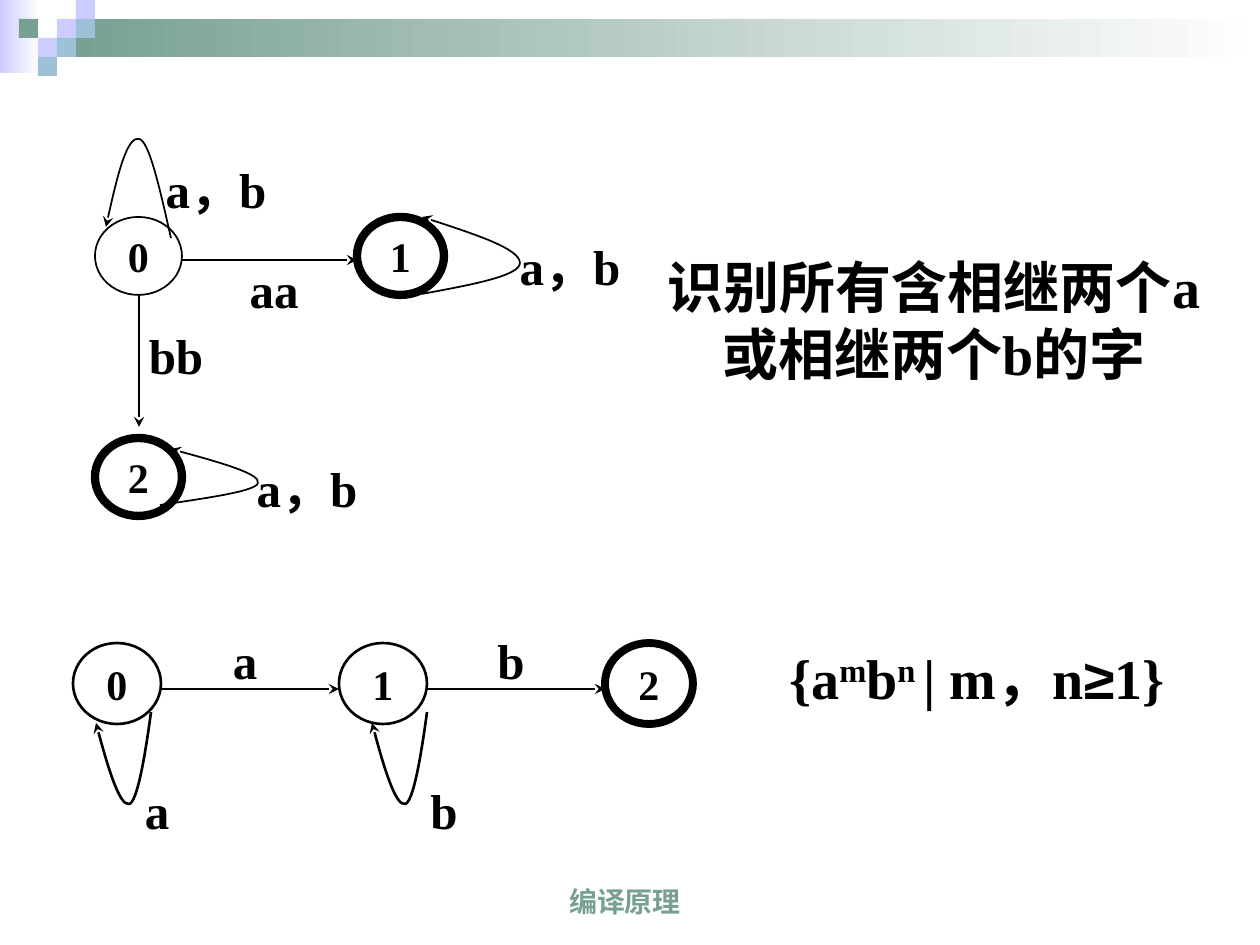
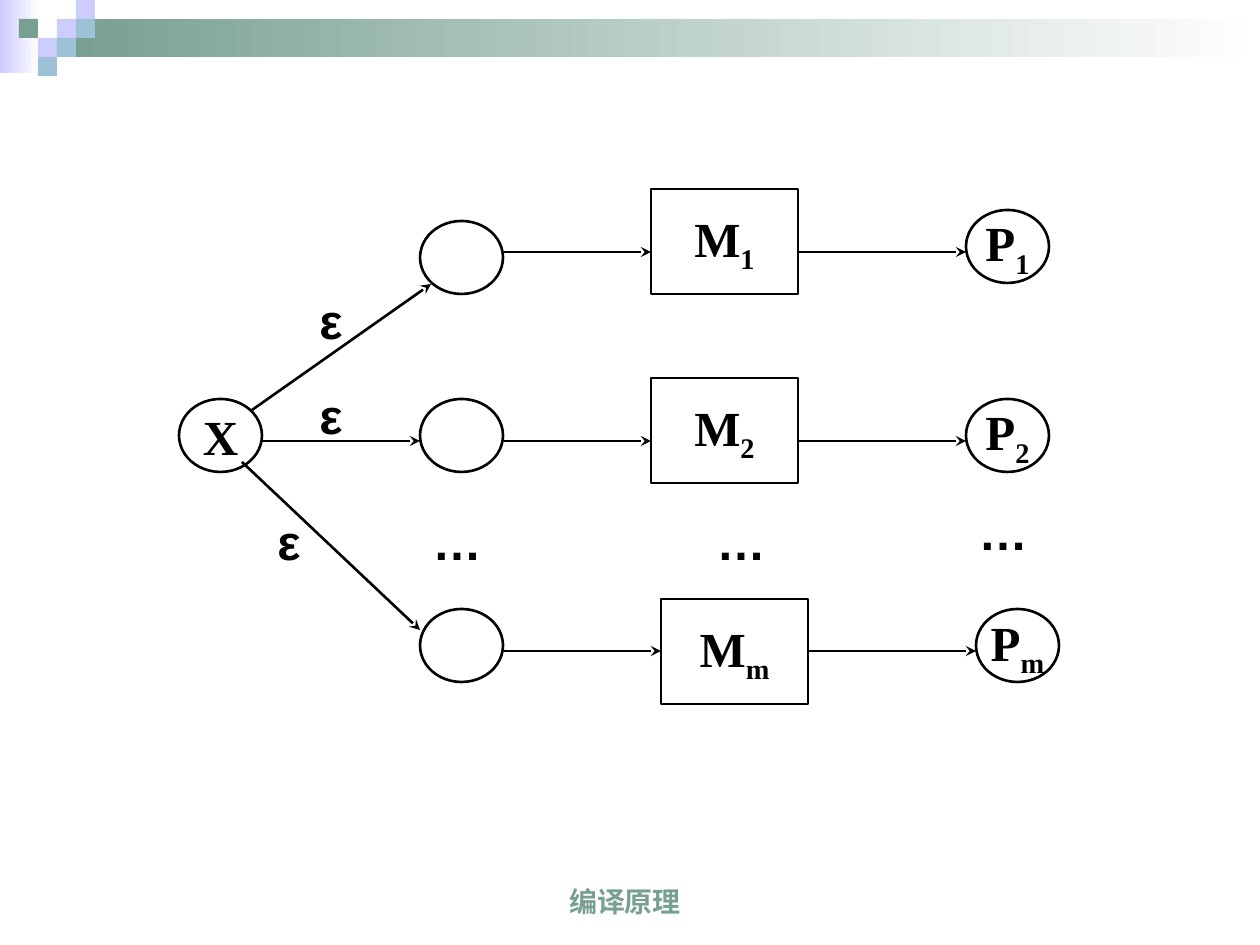
from dataclasses import dataclass

from lxml import etree
from pptx import Presentation
from pptx import util as u
from pptx.dml.color import RGBColor
from pptx.enum import shapes, text
from pptx.oxml import ns

# Shared scale, colours and fonts
EMU_PER_PX = u.Inches(1) / 126
BLACK, WHITE = "000000", "FFFFFF"
GREEN, LILAC, BLUE = "779F92", "CCCCFF", "9DC2D7"
SERIF, SANS, CHINESE = "Times New Roman", "Arial", "Noto Sans CJK SC"
OVAL, RECTANGLE = shapes.MSO_SHAPE.OVAL, shapes.MSO_SHAPE.RECTANGLE
TILE = 19


@dataclass(frozen=True)
class Box:
    left: int
    top: int
    width: int
    height: int


@dataclass(frozen=True)
class Run:
    text: str
    font: str = SERIF
    baseline: int = 0  # percent of the font size


@dataclass(frozen=True)
class Label:
    text: str
    center_x: int
    center_y: int
    font: str = SERIF


@dataclass(frozen=True)
class State:
    name: str
    box: Box
    weight: float


@dataclass(frozen=True)
class Arrow:
    start: tuple[int, int]
    end: tuple[int, int]


@dataclass(frozen=True)
class Branch:
    mark: str
    arrow_y: int
    entry_top: int
    machine_top: int
    result_top: int
    shift: int = 0


Lines = list[list[Run]]
Points = list[tuple[int, int]]


def px(length: int) -> u.Emu:
    return u.Emu(round(length * EMU_PER_PX))


def frame(box: Box) -> tuple:
    return px(box.left), px(box.top), px(box.width), px(box.height)


def color(value: str) -> RGBColor:
    return RGBColor.from_string(value)


# Text
def write(shape, lines: Lines, size: int, ink: str = BLACK, wrap: bool = False,
          anchor=text.MSO_ANCHOR.MIDDLE) -> None:
    text_frame = shape.text_frame
    text_frame.auto_size = text.MSO_AUTO_SIZE.NONE
    text_frame.word_wrap = wrap
    text_frame.vertical_anchor = anchor
    for index, line in enumerate(lines):
        paragraph = text_frame.add_paragraph() if index else text_frame.paragraphs[0]
        paragraph.alignment = text.PP_ALIGN.CENTER
        for part in line:
            run = paragraph.add_run()
            run.text = part.text
            run.font.size = u.Pt(size)
            run.font.bold = True
            run.font.color.rgb = color(ink)
            run.font.name = part.font
            properties = run._r.get_or_add_rPr()
            etree.SubElement(properties, ns.qn("a:ea"), typeface=CHINESE)
            if part.baseline:
                properties.set("baseline", str(part.baseline * 1000))


def add_text(slide, box: Box, lines: Lines, size: int, **style) -> None:
    write(slide.shapes.add_textbox(*frame(box)), lines, size, **style)


def add_label(slide, label: Label) -> None:
    box = Box(label.center_x - 60, label.center_y - 39, 120, 78)
    add_text(slide, box, [[Run(label.text, label.font)]], 28)


# Shapes, arrows and loops
def add_block(slide, box: Box, start: str, end: str | None = None) -> None:
    shape = slide.shapes.add_shape(RECTANGLE, *frame(box))
    shape.shadow.inherit = False
    shape.line.fill.background()
    if end is None:
        shape.fill.solid()
        shape.fill.fore_color.rgb = color(start)
        return
    shape.fill.gradient()
    shape.fill.gradient_angle = 0
    for stop, value, position in zip(shape.fill.gradient_stops, (start, end), (0, 1)):
        stop.color.rgb = color(value)
        stop.position = position


def add_node(slide, kind, box: Box, runs: list[Run], size: int = 28,
             weight: float = 1.5) -> None:
    shape = slide.shapes.add_shape(kind, *frame(box))
    shape.shadow.inherit = False
    shape.fill.background()
    shape.line.color.rgb = color(BLACK)
    shape.line.width = u.Pt(weight)
    if runs:
        write(shape, [runs], size)


def point_line(shape, weight: float) -> None:
    shape.line.color.rgb = color(BLACK)
    shape.line.width = u.Pt(weight)
    etree.SubElement(shape.line._get_or_add_ln(), ns.qn("a:tailEnd"), type="stealth")


def add_arrow(slide, arrow: Arrow, weight: float = 1.5) -> None:
    ends = [px(value) for value in (*arrow.start, *arrow.end)]
    connector = slide.shapes.add_connector(shapes.MSO_CONNECTOR.STRAIGHT, *ends)
    point_line(connector, weight)
    etree.SubElement(connector._element.spPr, ns.qn("a:effectLst"))


def add_loop(slide, points: Points, weight: float) -> None:
    """Draw cubic curves through a start point and triples of control points."""
    builder = slide.shapes.build_freeform(*points[0], scale=EMU_PER_PX)
    builder.add_line_segments(points[1:], close=False)
    shape = builder.convert_to_shape()
    shape.shadow.inherit = False
    shape.fill.background()
    point_line(shape, weight)
    outline = next(shape._element.iter(ns.qn("a:path")))
    segments = outline.findall(ns.qn("a:lnTo"))
    for first in range(0, len(segments), 3):
        curve = etree.SubElement(outline, ns.qn("a:cubicBezTo"))
        for segment in segments[first:first + 3]:
            curve.append(segment[0])
            outline.remove(segment)


# Header and footer of every slide
TILES = [(3, 1, LILAC), (4, 0, LILAC), (4, 1, BLUE), (2, 2, LILAC),
         (1, 1, GREEN), (3, 2, BLUE), (2, 3, BLUE)]


def add_base_slide(presentation):
    slide = presentation.slides.add_slide(presentation.slide_layouts[6])
    add_block(slide, Box(0, 0, 39, 73), LILAC, WHITE)
    add_block(slide, Box(3 * TILE, TILE, 1203, 2 * TILE), GREEN, WHITE)
    for column, row, fill in TILES:
        add_block(slide, Box(column * TILE, row * TILE, TILE, TILE), fill)
    add_text(slide, Box(402, 861, 446, 63), [[Run("编译原理", SANS)]], 16,
             ink=GREEN, wrap=True, anchor=text.MSO_ANCHOR.BOTTOM)
    return slide


def add_automaton(slide, states: list[State], arrows: list[Arrow],
                  loops: list[Points], labels: list[Label], weight: float) -> None:
    for state in states:
        add_node(slide, OVAL, state.box, [Run(state.name)], 24, state.weight)
    for label in labels:
        add_label(slide, label)
    for arrow in arrows:
        add_arrow(slide, arrow, weight)
    for loop in loops:
        add_loop(slide, loop, weight)


# Slide 1: two automata and the languages they accept
def build_automata(presentation) -> None:
    slide = add_base_slide(presentation)
    add_automaton(
        slide,
        states=[State("0", Box(95, 217, 87, 78), 1),
                State("2", Box(95, 438, 87, 78), 4.75),
                State("1", Box(357, 217, 87, 78), 4.75)],
        arrows=[Arrow((182, 260), (357, 260)), Arrow((139, 294), (139, 427))],
        loops=[[(171, 238), (160, 189), (149, 140), (139, 139),
                (127, 136), (116, 181), (106, 227)],
               [(160, 505), (208, 498), (257, 491), (258, 483),
                (261, 474), (215, 461), (171, 449)],
               [(422, 294), (471, 285), (520, 276), (520, 263),
                (520, 249), (471, 233), (422, 217)]],
        labels=[Label("a，b", 216, 189), Label("aa", 274, 289),
                Label("a，b", 570, 266), Label("bb", 176, 355),
                Label("a，b", 307, 488)],
        weight=1)

    step, loop_step = 266, 276
    loop = [(151, 712), (145, 757), (137, 803), (129, 804),
            (120, 806), (107, 765), (96, 723)]
    add_automaton(
        slide,
        states=[State(str(i), Box(73 + step * i, 643, 88, 81), weight)
                for i, weight in enumerate((1.5, 1.5, 4.5))],
        arrows=[Arrow((161 + step * i, 689), (339 + step * i, 689)) for i in range(2)],
        loops=[[(x + loop_step * i, y) for x, y in loop] for i in range(2)],
        labels=[Label("a", 245, 660), Label("b", 511, 660),
                Label("a", 157, 810), Label("b", 444, 810)],
        weight=1.5)

    add_text(slide, Box(703, 252, 462, 136), [
        [Run("识别所有含相继两个", CHINESE), Run("a")],
        [Run("或相继两个", CHINESE), Run("b"), Run("的字", CHINESE)]], 32)
    add_text(slide, Box(746, 609, 462, 136), [
        [Run("{a"), Run("m", baseline=30), Run("b"), Run("n ", baseline=30),
         Run("| m，n"), Run("≥", SANS), Run("1}")]], 32)


# Slide 2: one start state that branches into m machines
def build_branches(presentation) -> None:
    slide = add_base_slide(presentation)
    add_node(slide, OVAL, Box(179, 399, 83, 73), [Run("X")])
    branches = [Branch("1", 252, 221, 189, 210),
                Branch("2", 441, 399, 378, 399),
                Branch("m", 651, 609, 599, 609, shift=10)]
    for branch in branches:
        machine_left, result_left = 651 + branch.shift, 966 + branch.shift
        index = Run(branch.mark, baseline=-25)
        add_node(slide, OVAL, Box(420, branch.entry_top, 83, 73), [])
        add_node(slide, RECTANGLE, Box(machine_left, branch.machine_top, 147, 105),
                 [Run("M"), index])
        add_node(slide, OVAL, Box(result_left, branch.result_top, 83, 73),
                 [Run("P"), index])
        for start, end in ((504, machine_left), (machine_left + 147, result_left)):
            add_arrow(slide, Arrow((start, branch.arrow_y), (end, branch.arrow_y)))

    for arrow in (Arrow((252, 410), (431, 284)), Arrow((262, 441), (420, 441)),
                  Arrow((242, 462), (420, 630))):
        add_arrow(slide, arrow)
    for symbol, centers in (("ε", [(331, 320), (331, 415), (289, 541)]),
                            ("…", [(457, 541), (741, 541), (1003, 531)])):
        for x, y in centers:
            add_label(slide, Label(symbol, x, y, SANS))


def main() -> None:
    presentation = Presentation()
    presentation.slide_width, presentation.slide_height = px(1260), px(945)
    build_automata(presentation)
    build_branches(presentation)
    presentation.save("out.pptx")


if __name__ == "__main__":
    main()
